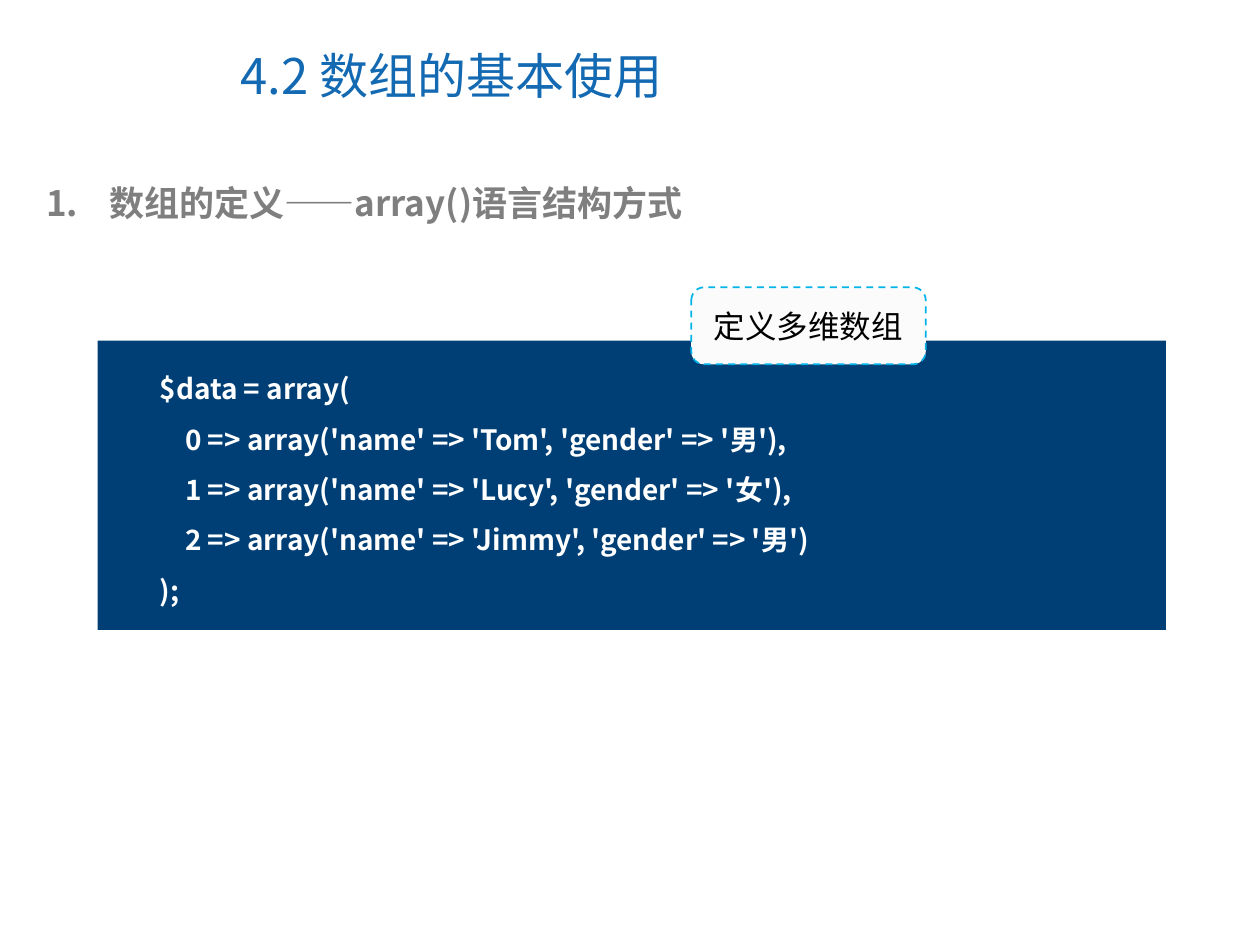
import pptx
import pptx.dml.color
import pptx.enum.dml
import pptx.enum.shapes
import pptx.enum.text
import pptx.oxml
import pptx.oxml.ns
import pptx.util

Pt = pptx.util.Pt
Align = pptx.enum.text.PP_ALIGN
Anchor = pptx.enum.text.MSO_ANCHOR
Fit = pptx.enum.text.MSO_AUTO_SIZE
Shape = pptx.enum.shapes.MSO_SHAPE

CJK_FONT = "Noto Sans CJK SC"
COLORS = {
    "title": "1369B2",
    "heading": "7F7F7F",
    "panel": "003F75",
    "code": "FFFFFF",
    "callout": "FBFBFB",
    "callout_line": "00B4E9",
    "callout_text": "000000",
}
CODE = """$data = array(
    0 => array('name' => 'Tom', 'gender' => '男'),
    1 => array('name' => 'Lucy', 'gender' => '女'),
    2 => array('name' => 'Jimmy', 'gender' => '男')
);"""


def color(name):
    return pptx.dml.color.RGBColor.from_string(COLORS[name])


def set_values(target, values):
    for name, value in values.items():
        setattr(target, name, value)


def add_span(para, text, color_name, font):
    span = para.add_run()
    span.text = text
    set_values(span.font, {"name": CJK_FONT, **font})
    span.font.color.rgb = color(color_name)
    east_asian = pptx.oxml.parse_xml(
        f'<a:ea {pptx.oxml.ns.nsdecls("a")} typeface="{CJK_FONT}"/>')
    span.font._element.append(east_asian)


def write_lines(box, text, color_name, font, para_format=None, frame_format=None):
    """Fill a shape's text frame with one paragraph per line of text."""
    frame = box.text_frame
    set_values(frame, {"word_wrap": True, **(frame_format or {})})
    for index, line in enumerate(text.split("\n")):
        para = frame.add_paragraph() if index else frame.paragraphs[0]
        set_values(para, {"alignment": Align.LEFT, **(para_format or {})})
        add_span(para, line, color_name, font)


def place_title(page, text):
    title = page.shapes.title
    set_values(title, {"left": Pt(130.3), "top": Pt(12.2),
                       "width": Pt(371.5), "height": Pt(61.2)})
    write_lines(title, text, "title", {"size": Pt(28)},
                frame_format={"vertical_anchor": Anchor.MIDDLE,
                              "auto_size": Fit.NONE})


def add_text(page, left, top, width, height, text, color_name, font,
             para_format=None):
    box = page.shapes.add_textbox(Pt(left), Pt(top), Pt(width), Pt(height))
    write_lines(box, text, color_name, font, para_format,
                {"auto_size": Fit.SHAPE_TO_FIT_TEXT})
    return box


def number_paragraph(para, color_name, indent):
    properties = para._p.get_or_add_pPr()
    properties.set("marL", str(Pt(indent)))
    properties.set("indent", str(-Pt(indent)))
    space = pptx.oxml.ns.nsdecls("a")
    for xml in (
        f'<a:buClr {space}><a:srgbClr val="{COLORS[color_name]}"/></a:buClr>',
        f'<a:buFont {space} typeface="{CJK_FONT}"/>',
        f'<a:buAutoNum {space} type="arabicPeriod"/>',
    ):
        properties.append(pptx.oxml.parse_xml(xml))


def add_panel(page, kind, left, top, width, height, fill):
    panel = page.shapes.add_shape(kind, Pt(left), Pt(top), Pt(width), Pt(height))
    panel.shadow.inherit = False
    panel.fill.solid()
    panel.fill.fore_color.rgb = color(fill)
    panel.line.fill.background()
    return panel


def add_callout(page, text):
    callout = add_panel(page, Shape.ROUNDED_RECTANGLE,
                        395, 164.2, 134, 44, "callout")
    callout.line.color.rgb = color("callout_line")
    set_values(callout.line, {"width": Pt(1),
                              "dash_style": pptx.enum.dml.MSO_LINE.DASH})
    write_lines(callout, text, "callout_text",
                {"size": Pt(18), "name": "Arial"},
                {"alignment": Align.CENTER}, {"vertical_anchor": Anchor.MIDDLE})


def main():
    deck = pptx.Presentation()
    set_values(deck, {"slide_width": Pt(720), "slide_height": Pt(540)})
    page = deck.slides.add_slide(deck.slide_layouts[5])

    place_title(page, "4.2 数组的基本使用")
    heading = add_text(page, 19.4, 100, 664, 31.5,
                       "数组的定义——array()语言结构方式",
                       "heading", {"size": Pt(20), "bold": True})
    number_paragraph(heading.text_frame.paragraphs[0], "heading", 36)

    add_panel(page, Shape.RECTANGLE, 55.8, 194.6, 610.5, 165.4, "panel")
    add_text(page, 84.2, 199.4, 571, 151.2, CODE, "code",
             {"size": Pt(16), "bold": True}, {"line_spacing": 1.5})
    add_callout(page, "定义多维数组")

    deck.save("out.pptx")


if __name__ == "__main__":
    main()
